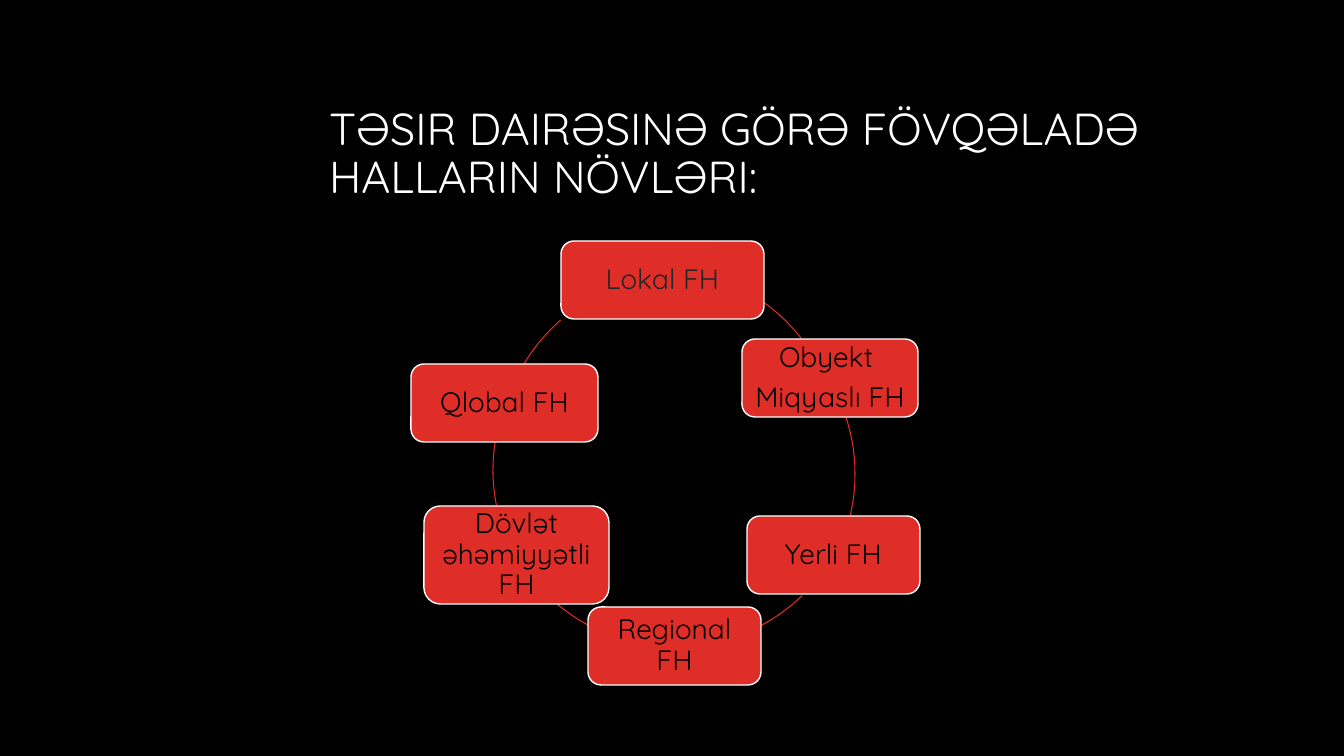
import pptx
import pptx.dml.color
import pptx.enum.shapes
import pptx.enum.text
import pptx.util

EMU_PER_PX = 914400 / 100.8
FONT = "Quicksand"
COLORS = {"black": "000000", "white": "FFFFFF", "red": "DF2E28", "charcoal": "262626"}
RADIUS = 183
ARC_UNITS_PER_DEGREE = 0.6  # adjustments count 100000ths, angles 60000ths of a degree

# left, top, width, height, lines, text colour
BOXES = [
    (561, 241, 203, 78, ["Lokal FH"], "charcoal"),
    (742, 339, 176, 78, ["Obyekt ", "Miqyaslı FH"], "black"),
    (747, 516, 173, 78, ["Yerli FH"], "black"),
    (588, 607, 173, 78, ["Regional FH"], "black"),
    (424, 506, 185, 98, ["Dövlət əhəmiyyətli FH"], "black"),
    (411, 364, 187, 78, ["Qlobal FH"], "black"),
]
# centre x, centre y, start and end angle in degrees, clockwise from the right
ARCS = [
    (657, 451, 306, 322),
    (672, 474, 342, 13),
    (675, 464, 46, 62),
    (675, 464, 118, 130),
    (676, 470, 169, 189),
    (681, 458, 211, 229),
]


def px(length):
    return pptx.util.Emu(round(length * EMU_PER_PX))


def add_text(paragraph, text, size, color, alignment):
    paragraph.alignment = alignment
    paragraph.line_spacing = 0.9
    run = paragraph.add_run()
    run.text = text
    run.font.name = FONT
    run.font.size = pptx.util.Pt(size)
    run.font.color.rgb = pptx.dml.color.RGBColor.from_string(COLORS[color])


presentation = pptx.Presentation()
presentation.slide_width = px(1344)
presentation.slide_height = px(756)
slide = presentation.slides.add_slide(presentation.slide_layouts[5])
slide.background.fill.solid()
slide.background.fill.fore_color.rgb = pptx.dml.color.RGBColor.from_string(COLORS["black"])

title = slide.shapes.title
title.left, title.top, title.width, title.height = px(319), px(84), px(950), px(142)
title.text_frame.word_wrap = True
title.text_frame.auto_size = pptx.enum.text.MSO_AUTO_SIZE.NONE
title.text_frame.vertical_anchor = pptx.enum.text.MSO_ANCHOR.MIDDLE
add_text(title.text_frame.paragraphs[0], "TƏSIR DAIRƏSINƏ GÖRƏ FÖVQƏLADƏ HALLARIN NÖVLƏRI:",
         32, "white", pptx.enum.text.PP_ALIGN.LEFT)

for center_x, center_y, start, end in ARCS:
    arc = slide.shapes.add_shape(pptx.enum.shapes.MSO_SHAPE.ARC,
                                 px(center_x - RADIUS), px(center_y - RADIUS),
                                 px(2 * RADIUS), px(2 * RADIUS))
    arc.adjustments[0] = start * ARC_UNITS_PER_DEGREE
    arc.adjustments[1] = end * ARC_UNITS_PER_DEGREE
    arc.shadow.inherit = False
    arc.fill.background()
    arc.line.color.rgb = pptx.dml.color.RGBColor.from_string(COLORS["red"])
    arc.line.width = pptx.util.Pt(0.75)

for left, top, width, height, lines, text_color in BOXES:
    box = slide.shapes.add_shape(pptx.enum.shapes.MSO_SHAPE.ROUNDED_RECTANGLE,
                                 px(left), px(top), px(width), px(height))
    box.shadow.inherit = False
    box.fill.solid()
    box.fill.fore_color.rgb = pptx.dml.color.RGBColor.from_string(COLORS["red"])
    box.line.color.rgb = pptx.dml.color.RGBColor.from_string(COLORS["white"])
    box.line.width = pptx.util.Pt(1)
    frame = box.text_frame
    frame.word_wrap = True
    frame.vertical_anchor = pptx.enum.text.MSO_ANCHOR.MIDDLE
    frame.margin_left = frame.margin_right = frame.margin_top = frame.margin_bottom = px(8)
    for index, line in enumerate(lines):
        paragraph = frame.add_paragraph() if index else frame.paragraphs[0]
        paragraph.space_after = pptx.util.Pt(7)
        add_text(paragraph, line, 20, text_color, pptx.enum.text.PP_ALIGN.CENTER)

presentation.save("out.pptx")
